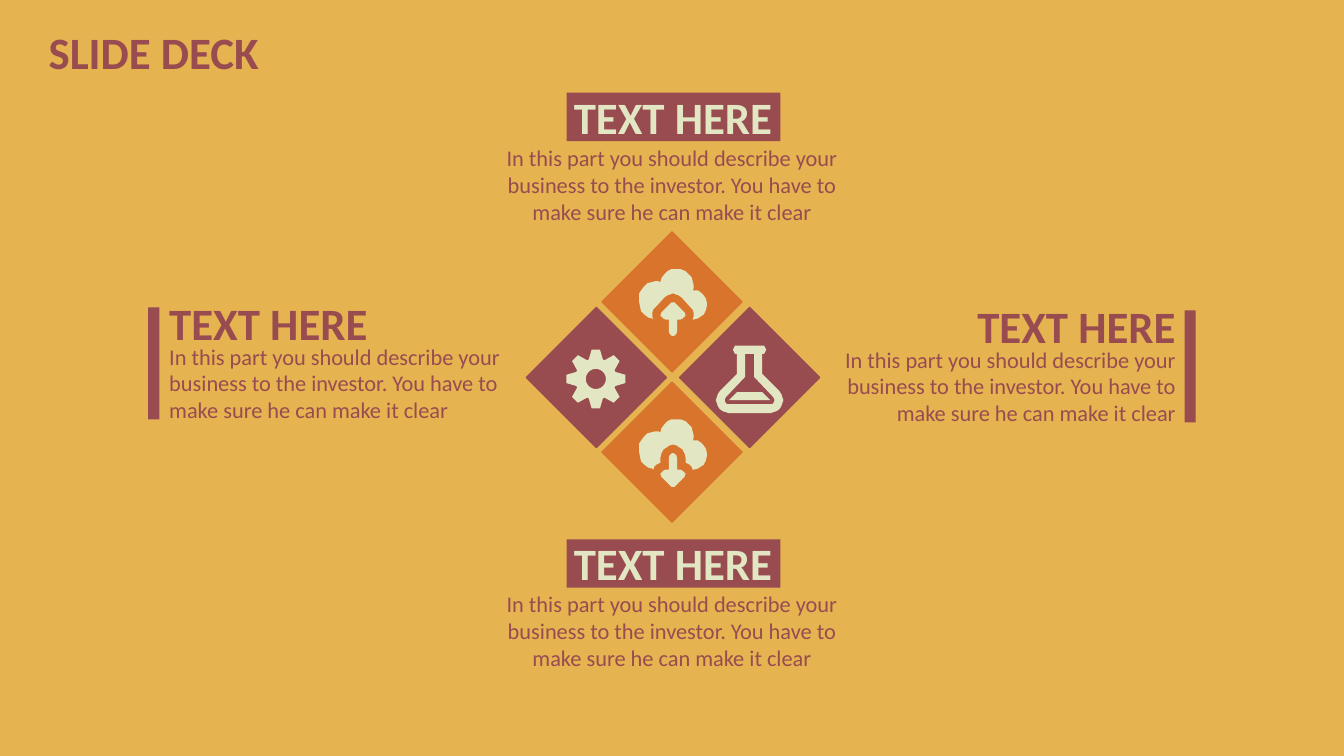
import math

import pptx
import pptx.dml.color
import pptx.enum.shapes
import pptx.enum.text
import pptx.util

Inches = pptx.util.Inches
ALIGN = pptx.enum.text.PP_ALIGN
PRESET = pptx.enum.shapes.MSO_SHAPE

GOLD, MAROON, ORANGE, CREAM = "E5B350", "984C50", "D9742C", "E2E6C3"
HEADING = "TEXT HERE"
DESCRIPTION = ("In this part you should describe your business to the investor. "
               "You have to make sure he can make it clear")
TEXT_WIDTH = 3.51
ICON_SIZE = 67
ICON_UNITS = 100


def color(hex_code):
    return pptx.dml.color.RGBColor.from_string(hex_code)


def add_text(slide, text, left, top, height, size=16, hue=MAROON, bold=False, align=ALIGN.LEFT):
    box = slide.shapes.add_textbox(Inches(left), Inches(top), Inches(TEXT_WIDTH), Inches(height))
    frame = box.text_frame
    frame.word_wrap = True
    frame.auto_size = pptx.enum.text.MSO_AUTO_SIZE.SHAPE_TO_FIT_TEXT
    paragraph = frame.paragraphs[0]
    paragraph.alignment = align
    run = paragraph.add_run()
    run.text = text
    run.font.name = "Calibri"
    run.font.size = pptx.util.Pt(size)
    run.font.bold = bold
    run.font.color.rgb = color(hue)


def add_heading(slide, text, left, top, **style):
    add_text(slide, text, left, top, 0.64, size=32, bold=True, **style)


def paint(shape, fill, outline=None):
    shape.shadow.inherit = False
    shape.fill.solid()
    shape.fill.fore_color.rgb = color(fill)
    if outline:
        shape.line.color.rgb = color(outline)
        shape.line.width = pptx.util.Pt(1)
    else:
        shape.line.fill.background()


def add_block(slide, preset, left, top, width, height, fill, outline=None):
    block = slide.shapes.add_shape(preset, Inches(left), Inches(top), Inches(width), Inches(height))
    paint(block, fill, outline)


def mirrored(right_half):
    return right_half + [(ICON_SIZE - x, y) for x, y in reversed(right_half)]


def ring(polar_points):
    return [(29 + radius * math.sin(math.radians(angle)), 29 - radius * math.cos(math.radians(angle)))
            for angle, radius in polar_points]


def gear_outlines():
    teeth = [(45 * tooth + angle, radius) for tooth in range(8)
             for angle, radius in [(-20, 20.5), (-8, 29.5), (8, 29.5), (20, 20.5)]]
    hub = [(angle, 10) for angle in range(0, 360, 15)]
    return [ring(teeth), ring(hub)]


def flask_outlines():
    glass = [(46, 0), (48, 0), (49, 2), (50, 4), (49, 6), (48, 8), (46, 8), (46, 28), (63, 45),
             (65, 48), (66, 51), (67, 54), (66, 57), (65, 60), (63, 63), (60, 65), (57, 66), (54, 67)]
    inside = [(38, 8), (38, 31), (57, 51), (58, 53), (58, 55), (57, 57), (56, 58), (54, 58)]
    liquid = [(46, 46), (54, 54)]
    return [mirrored(half) for half in (glass, inside, liquid)]


def cloud_outlines(notch, points_down):
    arrow = [(33.5, 33), (35, 33), (36, 34), (44, 42), (45, 43), (46, 46), (45, 47), (44, 48),
             (43, 49), (41, 50), (37.5, 50), (37.5, 62), (37, 64), (35, 66), (33.5, 66.5)]
    if points_down:
        arrow = [(x, 100 - y) for x, y in arrow]
    right_side = [(37, 0), (41, 0), (46, 2), (49, 5), (52, 8), (53, 12), (54, 16), (54, 19), (53, 21),
                  (54, 21), (58, 21), (61, 23), (64, 26), (66, 29), (67, 33), (67, 37), (66, 41),
                  (64, 45), (61, 47), (58, 49), (54, 50)]
    left_side = [(13, 49), (9, 48), (5, 45), (2, 42), (1, 38), (0, 33), (0, 29), (0, 24), (2, 21),
                 (5, 17), (8, 14), (12, 13), (16, 12), (19, 12), (21, 13), (22, 9), (25, 5),
                 (28, 2), (32, 0)]
    return [mirrored(arrow), right_side + mirrored(notch) + left_side]


def add_icon(slide, left, top, outlines):
    first, *others = [[(Inches(x / ICON_UNITS), Inches(y / ICON_UNITS)) for x, y in outline]
                      for outline in outlines]
    builder = slide.shapes.build_freeform(*first[0])
    builder.add_line_segments(first[1:], close=True)
    for outline in others:
        builder.move_to(*outline[0])
        builder.add_line_segments(outline[1:], close=True)
    paint(builder.convert_to_shape(Inches(left), Inches(top)), CREAM)


def add_diamond_cluster(slide, left, top):
    upload_notch = [(53, 50), (54, 47), (54, 43), (53, 40), (50, 37), (42, 28), (39, 26), (36, 25),
                    (33.5, 24)]
    download_notch = [(53, 50), (52, 47), (50, 45), (48, 44), (46, 43), (46, 38), (45, 34),
                      (43, 30), (40, 28), (37, 26), (33.5, 25)]
    tiles = [
        (0.75, 0, ORANGE, 0.37, 0.37, cloud_outlines(upload_notch, False)),
        (1.52, 0.75, MAROON, 0.36, 0.38, flask_outlines()),
        (0, 0.75, MAROON, 0.4, 0.42, gear_outlines()),
        (0.75, 1.49, ORANGE, 0.37, 0.37, cloud_outlines(download_notch, True)),
    ]
    for dx, dy, fill, *_ in tiles:
        add_block(slide, PRESET.DIAMOND, left + dx, top + dy, 1.39, 1.39, fill, outline=fill)
    for dx, dy, _, icon_dx, icon_dy, outlines in tiles:
        add_icon(slide, left + dx + icon_dx, top + dy + icon_dy, outlines)


def add_badge_entry(slide, left, top):
    add_block(slide, PRESET.RECTANGLE, left + 0.71, top + 0.08, 2.12, 0.48, MAROON)
    add_text(slide, DESCRIPTION, left, top + 0.54, 0.91, align=ALIGN.CENTER)
    add_heading(slide, HEADING, left + 0.01, top, hue=CREAM, align=ALIGN.CENTER)


def add_bar_entry(slide, left, top, bar_left, align):
    add_text(slide, DESCRIPTION, left, top + 0.47, 0.91, align=align)
    add_heading(slide, HEADING, left, top, align=align)
    add_block(slide, PRESET.RECTANGLE, bar_left, top + 0.17, 0.11, 1.11, MAROON)


def main():
    deck = pptx.Presentation()
    deck.slide_width, deck.slide_height = Inches(13.33), Inches(7.5)
    slide = deck.slides.add_slide(deck.slide_layouts[6])
    slide.background.fill.solid()
    slide.background.fill.fore_color.rgb = color(GOLD)

    add_heading(slide, "SLIDE DECK", -0.23, 0.2, align=ALIGN.CENTER)
    add_diamond_cluster(slide, 5.22, 2.3)
    add_bar_entry(slide, 8.25, 2.91, 11.75, ALIGN.RIGHT)
    add_bar_entry(slide, 1.58, 2.88, 1.47, ALIGN.LEFT)
    for top in (0.84, 5.27):
        add_badge_entry(slide, 4.91, top)

    deck.save("out.pptx")


if __name__ == "__main__":
    main()
